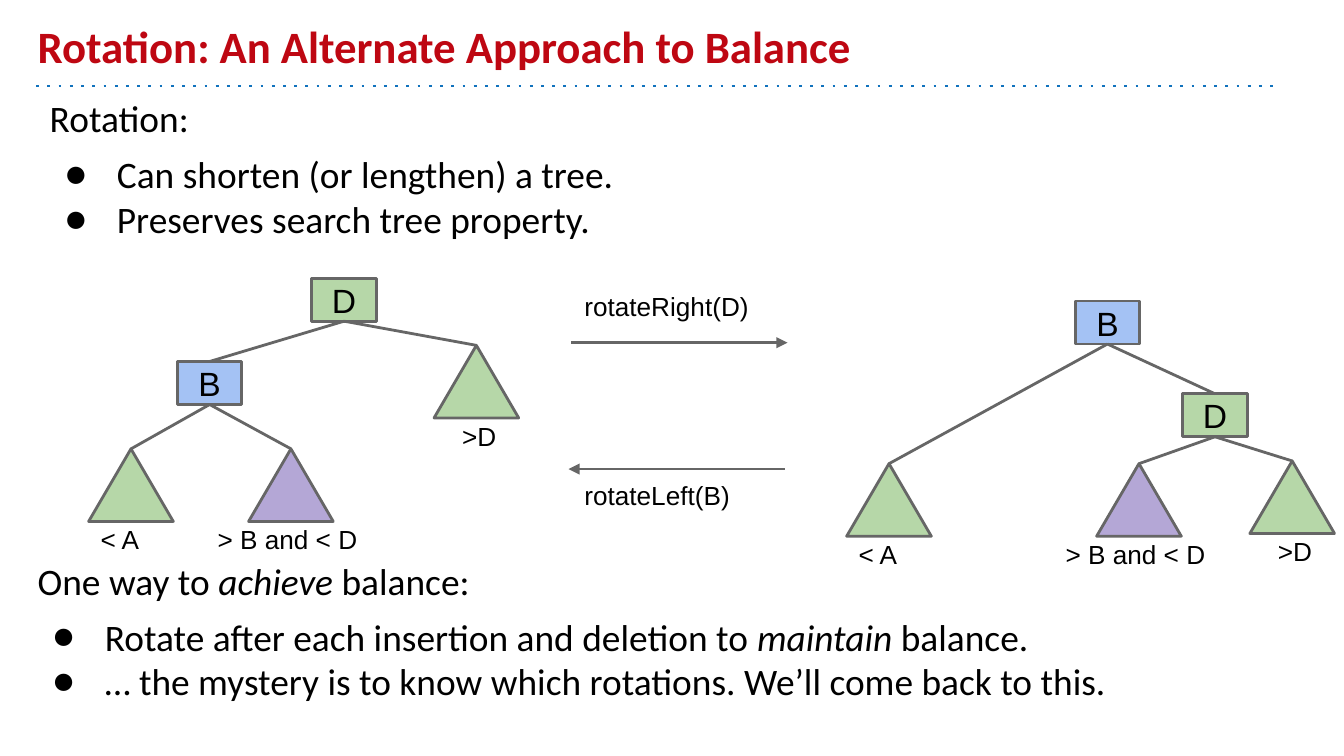
from dataclasses import dataclass

from pptx import Presentation
from pptx.dml.color import RGBColor
from pptx.enum.dml import MSO_LINE
from pptx.enum.shapes import MSO_CONNECTOR, MSO_SHAPE
from pptx.enum.text import MSO_ANCHOR, MSO_AUTO_SIZE, PP_ALIGN
from pptx.oxml.ns import qn
from pptx.util import Inches, Pt
from lxml.etree import SubElement


@dataclass(frozen=True)
class Theme:
    red: str = "BE0712"
    blue: str = "1072BD"
    black: str = "000000"
    gray: str = "666666"
    green: str = "B6D7A8"
    sky: str = "A4C2F4"
    violet: str = "B4A7D6"
    head: str = "Calibri"
    sans: str = "Arial"
    title: int = 24
    body: int = 20
    node: int = 18
    label: int = 14
    stroke: float = 1.5


T = Theme()
NODE = (0.48, 0.32)
LEAF = (0.63, 0.54)
# Leaf kinds: fill, label shift from the leaf's left side, label width
KINDS = {
    "< A": (T.green, -0.01, 0.6),
    "> B and < D": (T.violet, -0.33, 1.49),
    ">D": (T.green, 0.11, 0.63),
}


def place(shape, x, y, w, h):
    shape.left, shape.top = Inches(x), Inches(y)
    shape.width, shape.height = Inches(w), Inches(h)


def frame(shape, anchor=MSO_ANCHOR.TOP):
    tf = shape.text_frame
    tf.word_wrap = True
    tf.auto_size = MSO_AUTO_SIZE.NONE
    tf.vertical_anchor = anchor
    tf.margin_left = tf.margin_right = Inches(0.1)
    tf.margin_top = tf.margin_bottom = Inches(0.1)
    return tf


def add_run(para, text, size, face, color=T.black, bold=False, slant=False):
    run = para.add_run()
    run.text = text
    font = run.font
    font.size, font.name = Pt(size), face
    font.bold, font.italic = bold, slant
    font.color.rgb = RGBColor.from_string(color)


def add_line(slide, start, end, color=T.gray):
    ends = [Inches(v) for v in (*start, *end)]
    line = slide.shapes.add_connector(MSO_CONNECTOR.STRAIGHT, *ends)
    line.line.color.rgb = RGBColor.from_string(color)
    line.line.width = Pt(T.stroke)
    SubElement(line._element.spPr, qn("a:effectLst"))
    return line


def add_label(slide, x, y, w, h, text):
    box = slide.shapes.add_textbox(*map(Inches, (x, y, w, h)))
    add_run(frame(box).paragraphs[0], text, T.label, T.sans)


def add_block(slide, kind, x, y, size, fill):
    shape = slide.shapes.add_shape(kind, *map(Inches, (x, y, *size)))
    shape.shadow.inherit = False
    shape.fill.solid()
    shape.fill.fore_color.rgb = RGBColor.from_string(fill)
    shape.line.color.rgb = RGBColor.from_string(T.gray)
    shape.line.width = Pt(T.stroke)
    return shape


def add_title(slide, box, text):
    """Title placeholder with the dotted rule below it."""
    x, y, w, h = box
    place(slide.shapes.title, *box)
    para = frame(slide.shapes.title, MSO_ANCHOR.BOTTOM).paragraphs[0]
    para.alignment = PP_ALIGN.LEFT
    add_run(para, text, T.title, T.head, T.red, bold=True)
    rule = add_line(slide, (x + 0.09, y + h), (x + 9.32, y + h), T.blue)
    rule.line.dash_style = MSO_LINE.ROUND_DOT
    rule._element.spPr.find(qn("a:ln")).find(qn("a:prstDash")).set("val", "dot")


def add_list(holder, box, rows):
    """Lead line followed by bullets; odd parts of a row are italic."""
    place(holder, *box)
    tf = frame(holder)
    for i, row in enumerate(rows):
        para = tf.add_paragraph() if i else tf.paragraphs[0]
        para.space_before = Pt(6 if i == 1 else 0)
        props = para._p.get_or_add_pPr()
        props.set("marL", str(Inches(0.5 if i else 0)))
        props.set("indent", str(Inches(-0.39 if i else 0)))
        if i:
            tint = SubElement(props, qn("a:buClr"))
            SubElement(tint, qn("a:srgbClr"), val=T.black)
            SubElement(props, qn("a:buFont"), typeface=T.head)
            SubElement(props, qn("a:buChar"), char="●")
        else:
            SubElement(props, qn("a:buNone"))
        for j, text in enumerate(row):
            add_run(para, text, T.body, T.head, slant=j % 2 == 1)


def add_tree(slide, box, nodes, leaves, edges):
    """Nodes and leaves at offsets from the box, joined from parent to child."""
    left, top = box[:2]
    parts = {}
    for name, (x, y, fill) in nodes.items():
        shape = add_block(slide, MSO_SHAPE.RECTANGLE, left + x, top + y, NODE, fill)
        para = frame(shape, MSO_ANCHOR.MIDDLE).paragraphs[0]
        para.alignment = PP_ALIGN.CENTER
        add_run(para, name, T.node, T.sans)
        parts[name] = shape
    for name, (x, y) in leaves.items():
        fill, shift, w = KINDS[name]
        x, y = left + x, top + y
        parts[name] = add_block(slide, MSO_SHAPE.ISOSCELES_TRIANGLE, x, y, LEAF, fill)
        add_label(slide, x + shift, y + 0.46, w, 0.19, name)
    for up, down in edges:
        line = add_line(slide, (left, top), (left, top))
        line.begin_connect(parts[up], 2)
        line.end_connect(parts[down], 0)


def add_moves(slide, box):
    """Two opposite arrows with their calls."""
    x, y, w, h = box
    moves = [
        ("rotateRight(D)", x + 0.02, x + w, 0.49, 0),
        ("rotateLeft(B)", x + w - 0.02, x, 1.43, 1.41),
    ]
    for text, start, end, drop, shift in moves:
        line = add_line(slide, (start, y + drop), (end, y + drop))
        SubElement(line._element.spPr.find(qn("a:ln")), qn("a:tailEnd"), type="triangle")
        add_label(slide, x + 0.02, y + shift, 1.6, 0.41, text)


def main():
    deck = Presentation()
    deck.slide_width = Inches(10)
    deck.slide_height = deck.slide_width * 9 // 16
    slide = deck.slides.add_slide(deck.slide_layouts[3])  # title and two bodies
    upper, lower = slide.placeholders[1], slide.placeholders[2]

    add_title(slide, (0.18, 0.1, 9, 0.54), "Rotation: An Alternate Approach to Balance")
    add_list(upper, (0.27, 0.61, 9.41, 0.88), [
        ["Rotation:"],
        ["Can shorten (or lengthen) a tree."],
        ["Preserves search tree property."],
    ])
    # Tree before the right rotation
    add_tree(
        slide, (0.66, 2.07, 3.2, 1.81),
        {"D": (1.66, 0, T.green), "B": (0.66, 0.62, T.sky)},
        {"< A": (0, 1.27), "> B and < D": (1.19, 1.27), ">D": (2.57, 0.5)},
        [("D", "B"), ("D", ">D"), ("B", "< A"), ("B", "> B and < D")],
    )
    add_moves(slide, (4.23, 2.06, 1.63, 1.82))
    # Tree after the right rotation
    add_tree(
        slide, (6.3, 2.24, 3.63, 1.75),
        {"B": (1.7, 0, T.sky), "D": (2.5, 0.69, T.green)},
        {"< A": (0, 1.21), "> B and < D": (1.86, 1.21), ">D": (3, 1.19)},
        [("B", "< A"), ("B", "D"), ("D", "> B and < D"), ("D", ">D")],
    )
    add_list(lower, (0.18, 4.05, 9.41, 1.41), [
        ["One way to ", "achieve", " balance:"],
        ["Rotate after each insertion and deletion to ", "maintain", " balance."],
        ["… the mystery is to know which rotations. We’ll come back to this."],
    ])
    deck.save("out.pptx")


if __name__ == "__main__":
    main()
